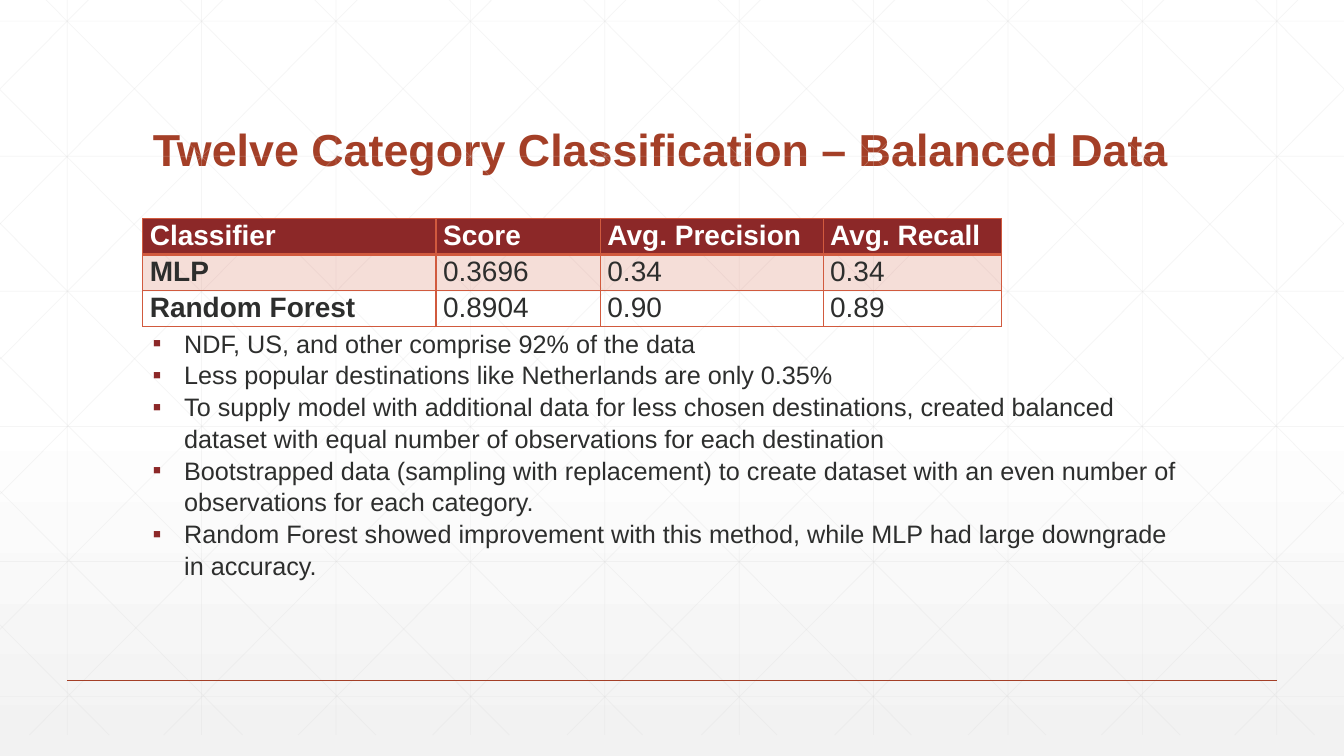
from lxml.etree import SubElement
from pptx import Presentation
from pptx.dml.color import RGBColor
from pptx.enum.shapes import MSO_CONNECTOR
from pptx.enum.text import MSO_ANCHOR, MSO_AUTO_SIZE, PP_ALIGN
from pptx.oxml import parse_xml
from pptx.oxml.ns import nsdecls, qn
from pptx.util import Pt

COLORS = {
    "title": "A43F27",
    "text": "2D2E2D",
    "accent": "8C2828",
    "border": "D15A3E",
    "grid": "D9D9D9",
    "white": "FFFFFF",
    "haze": "F2F2F2",
}
FONT = "Arial"
WIDTH, HEIGHT = 960, 540
GRID_TOP, GRID_BOTTOM = -15, 525
DIAGONAL_RUN = 537


def draw_line(x1, y1, x2, y2, color, weight, opacity=None):
    line = slide.shapes.add_connector(
        MSO_CONNECTOR.STRAIGHT, Pt(x1), Pt(y1), Pt(x2), Pt(y2))
    line.line.color.rgb = RGBColor.from_string(COLORS[color])
    line.line.width = Pt(weight)
    properties = line._element.spPr
    if opacity:
        tint = properties.find(".//" + qn("a:srgbClr"))
        SubElement(tint, qn("a:alpha"), val=str(opacity * 1000))
    SubElement(properties, qn("a:effectLst"))


def add_text(paragraph, text, size, color, bold=False):
    run = paragraph.add_run()
    run.text = text
    run.font.name = FONT
    run.font.size = Pt(size)
    run.font.bold = bold
    run.font.color.rgb = RGBColor.from_string(COLORS[color])


deck = Presentation()
deck.slide_width, deck.slide_height = Pt(WIDTH), Pt(HEIGHT)
slide = deck.slides.add_slide(deck.slide_layouts[5])

slide.background.fill.solid()
backdrop = slide.background._cSld.bg.bgPr
backdrop.replace(backdrop[0], parse_xml(
    f'<a:gradFill {nsdecls("a")} rotWithShape="1"><a:gsLst>'
    f'<a:gs pos="0"><a:srgbClr val="{COLORS["white"]}"/></a:gs>'
    f'<a:gs pos="53000"><a:srgbClr val="{COLORS["white"]}"/></a:gs>'
    f'<a:gs pos="100000"><a:srgbClr val="{COLORS["haze"]}">'
    '<a:alpha val="65000"/></a:srgbClr></a:gs>'
    '</a:gsLst><a:lin ang="5400000" scaled="0"/></a:gradFill>'))

grid = []
for column in range(10):
    x = 48 + 96 * column
    grid.append((x, GRID_TOP, x, GRID_BOTTOM))
for row in range(6):
    y = 15.1 + 96.5 * row
    grid.append((0, y, WIDTH, y))

diagonals = []
for step in range(10):
    x = 18 + 96 * step
    run_length = min(DIAGONAL_RUN, WIDTH - x)
    drop = run_length * (GRID_BOTTOM - GRID_TOP) / DIAGONAL_RUN
    diagonals.append((x, GRID_TOP, x + run_length, GRID_TOP + drop))
for step in range(5):
    diagonals.append((0, 64 + 95.6 * step, 459 - 95.25 * step, GRID_BOTTOM))
mirrored = [(WIDTH - x1, y1, WIDTH - x2, y2) for x1, y1, x2, y2 in diagonals]

for ends in grid + diagonals + mirrored:
    draw_line(*ends, "grid", 0.5, 25)
draw_line(48, 486, 912, 486, "title", 1)

title = slide.shapes.title
title.left, title.top, title.width, title.height = Pt(102), Pt(39.6), Pt(756), Pt(90)
title.text_frame.vertical_anchor = MSO_ANCHOR.BOTTOM
heading = title.text_frame.paragraphs[0]
heading.alignment = PP_ALIGN.LEFT
heading.line_spacing = 0.9
add_text(heading, "Twelve Category Classification – Balanced Data", 32, "title", True)

findings = [
    "NDF, US, and other comprise 92% of the data",
    "Less popular destinations like Netherlands are only 0.35%",
    "To supply model with additional data for less chosen destinations, created balanced "
    "dataset with equal number of observations for each destination",
    "Bootstrapped data (sampling with replacement) to create dataset with an even number of "
    "observations for each category.",
    "Random Forest showed improvement with this method, while MLP had large downgrade "
    "in accuracy.",
]
notes_frame = slide.shapes.add_textbox(Pt(102), Pt(229.7), Pt(756), Pt(181.4)).text_frame
notes_frame.word_wrap = True
notes_frame.auto_size = MSO_AUTO_SIZE.SHAPE_TO_FIT_TEXT
for index, finding in enumerate(findings):
    paragraph = notes_frame.add_paragraph() if index else notes_frame.paragraphs[0]
    paragraph.line_spacing = 1.05
    add_text(paragraph, finding, 18, "text")
    layout = paragraph._p.get_or_add_pPr()
    layout.set("marL", str(Pt(22.5)))
    layout.set("indent", str(-Pt(22.5)))
    bullet_color = SubElement(layout, qn("a:buClr"))
    SubElement(bullet_color, qn("a:srgbClr"), val=COLORS["accent"])
    SubElement(layout, qn("a:buFont"), typeface=FONT)
    SubElement(layout, qn("a:buChar"), char="▪")

scores = [
    ["Classifier", "Score", "Avg. Precision", "Avg. Recall"],
    ["MLP", "0.3696", "0.34", "0.34"],
    ["Random Forest", "0.8904", "0.90", "0.89"],
]
column_widths = [209.5, 117.4, 159.1, 127.4]
table = slide.shapes.add_table(
    len(scores), len(column_widths), Pt(102), Pt(156), Pt(sum(column_widths)), Pt(73.5)).table
for column, width in zip(table.columns, column_widths):
    column.width = Pt(width)

for row_index, row in enumerate(scores):
    for column_index, value in enumerate(row):
        cell = table.cell(row_index, column_index)
        cell.margin_left = cell.margin_right = Pt(5.04)
        cell.margin_top = cell.margin_bottom = 0
        is_header = row_index == 0
        paragraph = cell.text_frame.paragraphs[0]
        paragraph.alignment = PP_ALIGN.JUSTIFY
        paragraph.line_spacing = 1.07
        add_text(paragraph, value, 20, "white" if is_header else "text",
                 is_header or column_index == 0)

        cell_format = cell._tc.get_or_add_tcPr()
        for side in "LRTB":
            under_header = (row_index, side) in ((0, "B"), (1, "T"))
            border = SubElement(cell_format, qn(f"a:ln{side}"),
                                w=str(Pt(2 if under_header else 1)))
            stroke = SubElement(border, qn("a:solidFill"))
            SubElement(stroke, qn("a:srgbClr"), val=COLORS["border"])

        if row_index == 2:
            cell.fill.background()
        else:
            cell.fill.solid()
            shade = "accent" if is_header else "border"
            cell.fill.fore_color.rgb = RGBColor.from_string(COLORS[shade])
        if row_index == 1:
            tint = cell_format.find(qn("a:solidFill")).find(qn("a:srgbClr"))
            SubElement(tint, qn("a:alpha"), val="20000")

deck.save("out.pptx")
